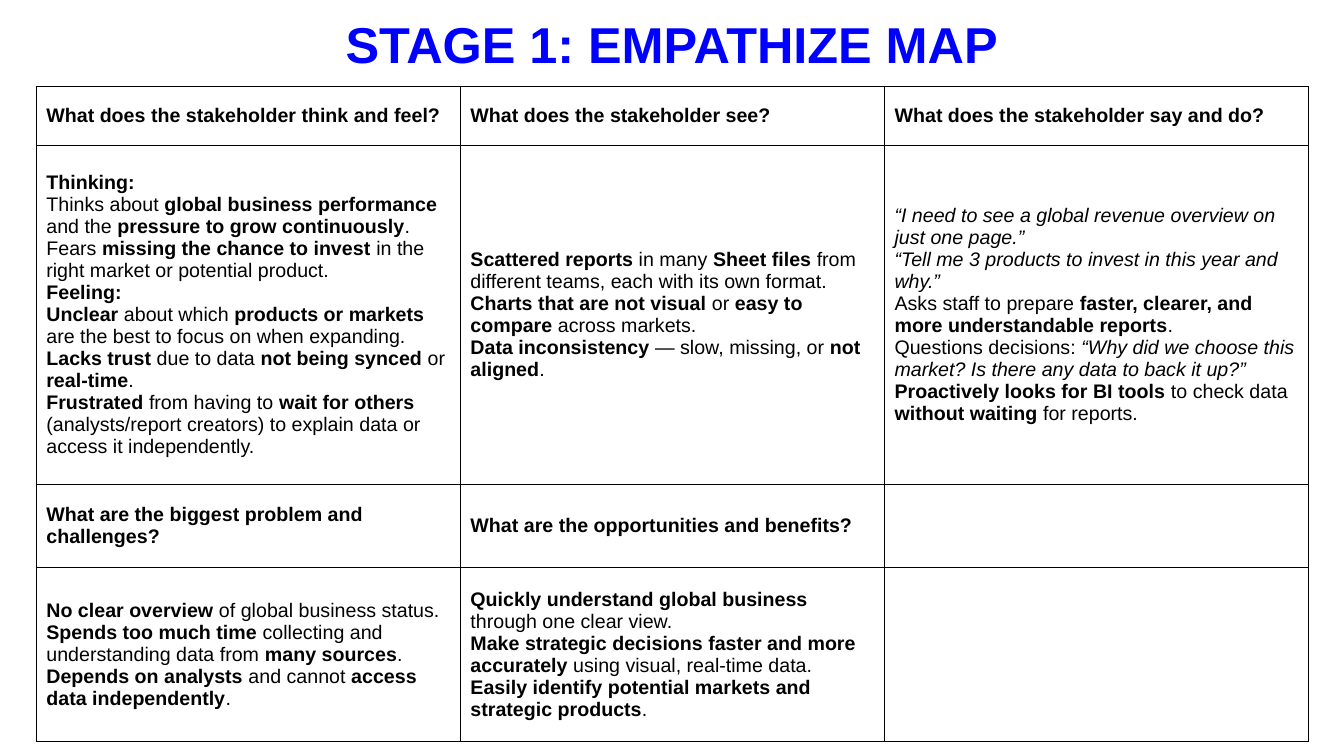
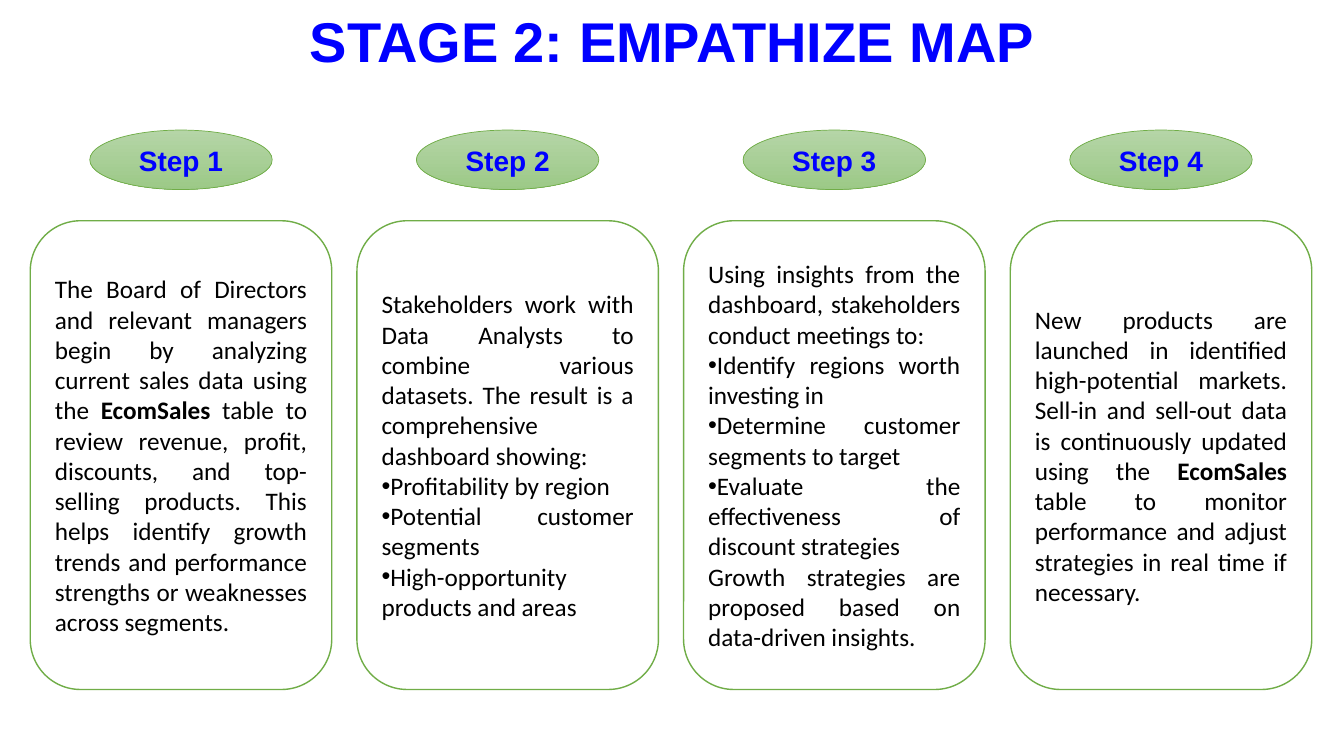
from lxml import etree
from pptx import Presentation
from pptx.dml.color import RGBColor
from pptx.enum import shapes, text
from pptx.oxml import ns
from pptx.util import Inches, Pt

COLORS = {
    "title": "0000FF",
    "text": "000000",
    "paper": "FFFFFF",
    "green": "70AD47",
    "badge_top": "B5D5A7",
    "badge_bottom": "9CC987",
}
SLIDE_WIDTH, SLIDE_HEIGHT = 13.33, 7.5
HEADING_FONT, BODY_FONT = "Arial", "Calibri"

ROW_HEIGHTS = [0.58, 3.37, 0.82, 1.73]
EMPATHY_CELLS = [
    [
        ["*What does the stakeholder think and feel?*"],
        ["*What does the stakeholder see?*"],
        ["*What does the stakeholder say and do?*"],
    ],
    [
        [
            "*Thinking:*",
            "Thinks about *global business performance* and the *pressure to grow continuously*.",
            "Fears *missing the chance to invest* in the right market or potential product.",
            "*Feeling:*",
            "*Unclear* about which *products or markets* are the best to focus on when expanding.",
            "*Lacks trust* due to data *not being synced* or *real-time*.",
            "*Frustrated* from having to *wait for others* (analysts/report creators) "
            "to explain data or access it independently.",
        ],
        [
            "*Scattered reports* in many *Sheet files* from different teams, each with its own format.",
            "*Charts that are not visual* or *easy to compare* across markets.",
            "*Data inconsistency* — slow, missing, or *not aligned*.",
        ],
        [
            "_“I need to see a global revenue overview on just one page.”_",
            "_“Tell me 3 products to invest in this year and why.”_",
            "Asks staff to prepare *faster, clearer, and more understandable reports*.",
            "Questions decisions: _“Why did we choose this market? "
            "Is there any data to back it up?”_",
            "*Proactively looks for BI tools* to check data *without waiting* for reports.",
        ],
    ],
    [
        ["*What are the biggest problem and challenges?*"],
        ["*What are the opportunities and benefits?*"],
        [],
    ],
    [
        [
            "*No clear overview* of global business status.",
            "*Spends too much time* collecting and understanding data from *many sources*.",
            "*Depends on analysts* and cannot *access data independently*.",
        ],
        [
            "*Quickly understand global business* through one clear view.",
            "*Make strategic decisions faster and more accurately* using visual, real-time data.",
            "*Easily identify potential markets and strategic products*.",
        ],
        [],
    ],
]

STEPS = [
    [
        "The Board of Directors and relevant managers begin by analyzing current sales data "
        "using the *EcomSales* table to review revenue, profit, discounts, and top-selling "
        "products. This helps identify growth trends and performance strengths or weaknesses "
        "across segments.",
    ],
    [
        "Stakeholders work with Data Analysts to combine various datasets. "
        "The result is a comprehensive dashboard showing:",
        "•Profitability by region",
        "•Potential customer segments",
        "•High-opportunity products and areas",
    ],
    [
        "Using insights from the dashboard, stakeholders conduct meetings to:",
        "•Identify regions worth investing in",
        "•Determine customer segments to target",
        "•Evaluate the effectiveness of discount strategies",
        "Growth strategies are proposed based on data-driven insights.",
    ],
    [
        "New products are launched in identified high-potential markets. Sell-in and sell-out "
        "data is continuously updated using the *EcomSales* table to monitor performance and "
        "adjust strategies in real time if necessary.",
    ],
]


def rgb(name):
    return RGBColor.from_string(COLORS[name])


def add_bullet(paragraph):
    properties = paragraph._p.get_or_add_pPr()
    properties.set("marL", "0")
    properties.set("indent", "0")
    etree.SubElement(properties, ns.qn("a:buFont")).set("typeface", "Arial")
    etree.SubElement(properties, ns.qn("a:buChar")).set("char", "•")


def add_spans(paragraph, marked, font, size, color):
    for bold_index, piece in enumerate(marked.split("*")):
        for italic_index, words in enumerate(piece.split("_")):
            if not words:
                continue
            span = paragraph.add_run()
            span.text = words
            span.font.name = font
            span.font.size = Pt(size)
            span.font.color.rgb = rgb(color)
            span.font.bold = bold_index % 2 == 1
            span.font.italic = italic_index % 2 == 1


def write(frame, lines, font, size, color="text", align=text.PP_ALIGN.LEFT):
    frame.word_wrap = True
    for index, line in enumerate(lines):
        paragraph = frame.add_paragraph() if index else frame.paragraphs[0]
        paragraph.alignment = align
        if line.startswith("•"):
            add_bullet(paragraph)
        add_spans(paragraph, line.lstrip("•"), font, size, color)


def add_title(page, title, top, height, size):
    box = page.shapes.add_textbox(0, Inches(top), Inches(SLIDE_WIDTH), Inches(height))
    write(box.text_frame, [f"*{title}*"], HEADING_FONT, size, "title", text.PP_ALIGN.CENTER)


def add_borders(cell):
    properties = cell._tc.get_or_add_tcPr()
    for side in ("lnL", "lnR", "lnT", "lnB"):
        line = etree.SubElement(properties, ns.qn(f"a:{side}"), w=str(Pt(1)))
        fill = etree.SubElement(line, ns.qn("a:solidFill"))
        etree.SubElement(fill, ns.qn("a:srgbClr"), val=COLORS["text"])


def add_empathy_table(page, left, top, width):
    rows, columns = len(EMPATHY_CELLS), len(EMPATHY_CELLS[0])
    frame = page.shapes.add_table(
        rows, columns, Inches(left), Inches(top), Inches(width), Inches(sum(ROW_HEIGHTS))
    )
    table = frame.table
    table.first_row = False
    table.horz_banding = False
    for row, height in zip(table.rows, ROW_HEIGHTS):
        row.height = Inches(height)
    for row_index, row_cells in enumerate(EMPATHY_CELLS):
        for column_index, lines in enumerate(row_cells):
            cell = table.cell(row_index, column_index)
            add_borders(cell)
            cell.fill.background()
            cell.vertical_anchor = text.MSO_ANCHOR.MIDDLE
            write(cell.text_frame, lines, HEADING_FONT, 14)


def add_outlined(page, kind, left, top, width, height, line_width):
    shape = page.shapes.add_shape(
        kind, Inches(left), Inches(top), Inches(width), Inches(height)
    )
    shape.shadow.inherit = False
    shape.line.color.rgb = rgb("green")
    shape.line.width = Pt(line_width)
    shape.text_frame.vertical_anchor = text.MSO_ANCHOR.MIDDLE
    return shape


def add_step(page, number, lines, left, top, width):
    badge_width, badge_height, card_offset, card_height = 1.81, 0.59, 0.9, 4.65
    card = add_outlined(
        page, shapes.MSO_SHAPE.ROUNDED_RECTANGLE,
        left, top + card_offset, width, card_height, 1,
    )
    card.fill.solid()
    card.fill.fore_color.rgb = rgb("paper")
    write(card.text_frame, lines, BODY_FONT, 18, align=text.PP_ALIGN.JUSTIFY)

    badge = add_outlined(
        page, shapes.MSO_SHAPE.OVAL,
        left + (width - badge_width) / 2, top, badge_width, badge_height, 0.5,
    )
    badge.fill.gradient()
    badge.fill.gradient_angle = 270
    for stop, name in zip(badge.fill.gradient_stops, ("badge_top", "badge_bottom")):
        stop.color.rgb = rgb(name)
    write(
        badge.text_frame, [f"*Step {number}*"], HEADING_FONT, 20, "title",
        text.PP_ALIGN.CENTER,
    )


def build_empathy_page(page):
    add_title(page, "STAGE 1: EMPATHIZE MAP", 0.08, 0.71, 36)
    add_empathy_table(page, 0.36, 0.86, 12.62)


def build_steps_page(page):
    card_width, gap = 2.99, 0.25
    add_title(page, "STAGE 2: EMPATHIZE MAP", 0.02, 0.77, 40)
    for index, lines in enumerate(STEPS):
        left = 0.3 + index * (card_width + gap)
        add_step(page, index + 1, lines, left, 1.29, card_width)


def main():
    deck = Presentation()
    deck.slide_width = Inches(SLIDE_WIDTH)
    deck.slide_height = Inches(SLIDE_HEIGHT)
    for build in (build_empathy_page, build_steps_page):
        build(deck.slides.add_slide(deck.slide_layouts[6]))
    deck.save("out.pptx")


if __name__ == "__main__":
    main()
